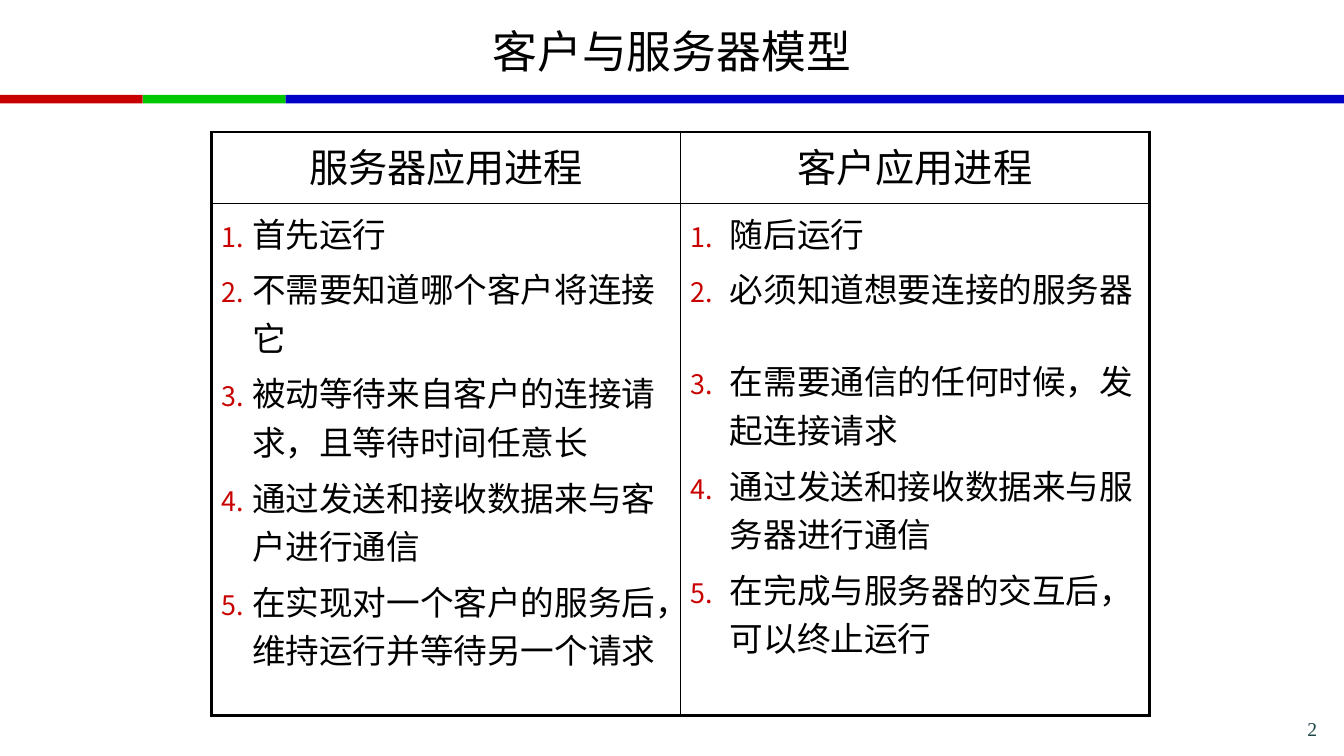
from lxml import etree
from pptx import Presentation
from pptx import util as u
from pptx.dml.color import RGBColor
from pptx.enum import shapes, text
from pptx.oxml import ns


def colour(value):
    return RGBColor.from_string(value)


def add_node(parent, tag, **attributes):
    return etree.SubElement(parent, ns.qn(tag), attributes)


class SlideBuilder:
    columns = 160
    rows = 90
    face = "Noto Sans CJK SC"
    number_face = "Times New Roman"
    ink = "000000"
    paper = "FFFFFF"
    accent = "C80000"
    outer_line = 2.25
    inner_line = 1

    def __init__(self, deck):
        self.deck = deck
        self.page = deck.slides.add_slide(deck.slide_layouts[5])

    def across(self, count):
        return u.Emu(int(self.deck.slide_width * count / self.columns))

    def down(self, count):
        return u.Emu(int(self.deck.slide_height * count / self.rows))

    def area(self, left, top, width, height):
        return self.across(left), self.down(top), self.across(width), self.down(height)

    def set_words(self, para, words, size, face=None, ink=None, align=None):
        para.text = words
        para.alignment = align
        font = para.font
        font.size = u.Pt(size)
        font.color.rgb = colour(ink or self.ink)
        font.name = face or self.face
        add_node(font._element, "a:ea", typeface=font.name)

    def title(self, words, *place):
        box = self.page.shapes.title
        box.left, box.top, box.width, box.height = self.area(*place)
        box.text_frame.vertical_anchor = text.MSO_ANCHOR.MIDDLE
        self.set_words(box.text_frame.paragraphs[0], words, 32, align=text.PP_ALIGN.CENTER)

    def bar(self, fill, *place):
        box = self.page.shapes.add_shape(shapes.MSO_SHAPE.RECTANGLE, *self.area(*place))
        box.shadow.inherit = False
        box.fill.solid()
        box.fill.fore_color.rgb = colour(fill)
        box.line.fill.background()

    def page_number(self, words, *place):
        box = self.page.shapes.add_textbox(*self.area(*place))
        box.text_frame.word_wrap = True
        self.set_words(box.text_frame.paragraphs[0], words, 14, self.number_face,
                       "1E4649", text.PP_ALIGN.RIGHT)

    def number_item(self, para, indent):
        properties = para._p.get_or_add_pPr()
        properties.set("marL", str(indent))
        properties.set("indent", str(-indent))
        font_node = properties.find(ns.qn("a:defRPr"))
        bullet_colour = add_node(properties, "a:buClr")
        add_node(bullet_colour, "a:srgbClr", val=self.accent)
        add_node(properties, "a:buSzPct", val="80000")
        add_node(properties, "a:buFont", typeface=self.face)
        add_node(properties, "a:buAutoNum", type="arabicPeriod")
        properties.append(font_node)

    def format_cell(self, cell, outer_sides):
        properties = cell._tc.get_or_add_tcPr()
        for side in "LRTB":
            width = self.outer_line if side in outer_sides else self.inner_line
            line = add_node(properties, f"a:ln{side}", w=str(u.Pt(width)))
            add_node(add_node(line, "a:solidFill"), "a:srgbClr", val=self.ink)
        cell.fill.solid()
        cell.fill.fore_color.rgb = colour(self.paper)

    def comparison(self, roles, row_heights, left, top, width):
        place = self.area(left, top, width, sum(row_heights))
        table = self.page.shapes.add_table(2, len(roles), *place).table
        table.first_row = table.horz_banding = False
        for row, height in zip(table.rows, row_heights):
            row.height = self.down(height)
        for index, (heading, indent, items) in enumerate(roles):
            table.columns[index].width = self.across(width / len(roles))
            side = "LR"[index]
            header, body = table.cell(0, index), table.cell(1, index)
            self.format_cell(header, side + "T")
            self.format_cell(body, side + "B")
            para = header.text_frame.paragraphs[0]
            self.set_words(para, heading, 28, align=text.PP_ALIGN.CENTER)
            para.space_before = u.Pt(5.6)
            for position, (words, gap) in enumerate(items):
                frame = body.text_frame
                para = frame.add_paragraph() if position else frame.paragraphs[0]
                self.set_words(para, words, 24)
                para.space_before = u.Pt(gap)
                self.number_item(para, u.Inches(indent))


ITEM_GAP = 4.8
ALIGNING_GAP = 31

SERVER_ITEMS = [
    ("首先运行", ITEM_GAP),
    ("不需要知道哪个客户将连接它", ITEM_GAP),
    ("被动等待来自客户的连接请求，且等待时间任意长", ITEM_GAP),
    ("通过发送和接收数据来与客户进行通信", ITEM_GAP),
    ("在实现对一个客户的服务后，维持运行并等待另一个请求", ITEM_GAP),
]
CLIENT_ITEMS = [
    ("随后运行", ITEM_GAP),
    ("必须知道想要连接的服务器", ITEM_GAP),
    ("在需要通信的任何时候，发起连接请求", ALIGNING_GAP),
    ("通过发送和接收数据来与服务器进行通信", ITEM_GAP),
    ("在完成与服务器的交互后，可以终止运行", ITEM_GAP),
]
ROLES = [
    ("服务器应用进程", 0.3, SERVER_ITEMS),
    ("客户应用进程", 0.39, CLIENT_ITEMS),
]


def main():
    deck = Presentation()
    deck.slide_width, deck.slide_height = u.Inches(13.33), u.Inches(7.5)
    builder = SlideBuilder(deck)
    for fill, left, width in (("C80000", 0, 17), ("00C800", 17, 17), ("0000C8", 34, 126)):
        builder.bar(fill, left, 11.3, width, 1)
    builder.page_number("2", 120.6, 84.7, 37.4, 2.8)
    builder.title("客户与服务器模型", 5.6, 1, 148.8, 10)
    builder.comparison(ROLES, (8.5, 61), 25.2, 15.7, 111.6)
    deck.save("out.pptx")


if __name__ == "__main__":
    main()
